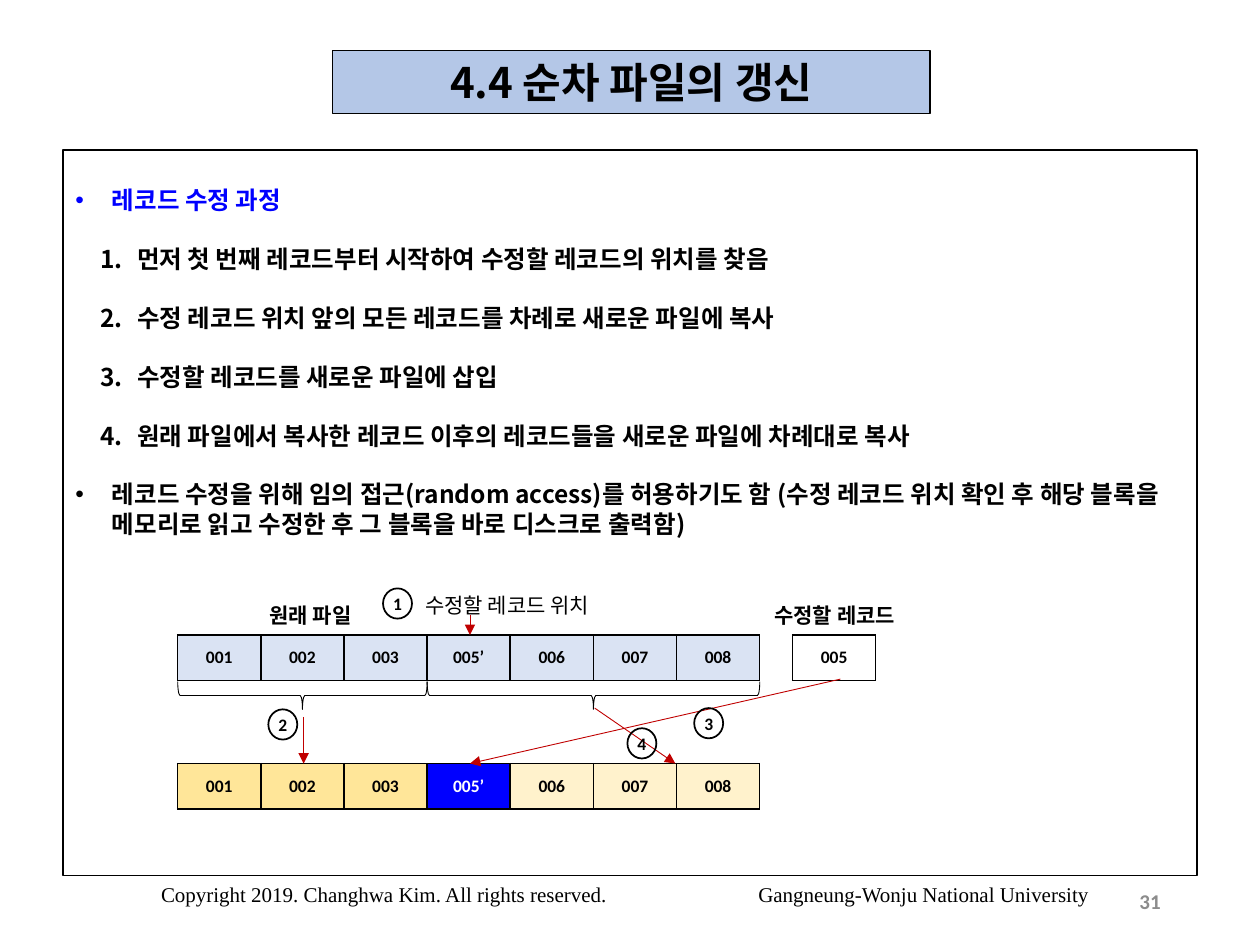
from typing import NamedTuple

from lxml.etree import SubElement
from pptx import Presentation
from pptx.dml.color import RGBColor
from pptx.enum.shapes import MSO_CONNECTOR, MSO_SHAPE
from pptx.enum.text import MSO_ANCHOR, MSO_AUTO_SIZE, PP_ALIGN
from pptx.oxml.ns import qn
from pptx.util import Inches, Pt

COLORS = {
    "black": "000000", "white": "FFFFFF", "blue": "0000FF", "gray": "8C8C8C",
    "arrow": "C00000", "title": "B4C7E7", "old": "DAE3F3",
    "copied": "FFE699", "rest": "FFF2CC",
}
KOREAN, LATIN, SERIF = "Noto Sans CJK KR", "Calibri", "Times New Roman"
CELL_WIDTH, CELL_HEIGHT = 0.66, 0.36
FILE_LEFT, OLD_TOP, NEW_TOP = 1.41, 5.04, 6.06
RECORDS = ["001", "002", "003", "005’", "006", "007", "008"]
LINE_PITCH = Pt(16.8)


class Item(NamedTuple):
    text: str
    numbered: bool = False
    color: str = "black"


class Label(NamedTuple):
    text: str
    left: float
    top: float
    width: float
    height: float = 0.3
    align: PP_ALIGN = PP_ALIGN.CENTER
    font: str = LATIN
    bold: bool = True
    color: str = "black"
    anchor: MSO_ANCHOR = MSO_ANCHOR.TOP


class Arrow(NamedTuple):
    start: tuple[float, float]
    end: tuple[float, float]


class Step(NamedTuple):
    number: int
    left: float
    top: float


ITEMS = [
    Item("레코드 수정 과정", color="blue"),
    Item("먼저 첫 번째 레코드부터 시작하여 수정할 레코드의 위치를 찾음", True),
    Item("수정 레코드 위치 앞의 모든 레코드를 차례로 새로운 파일에 복사", True),
    Item("수정할 레코드를 새로운 파일에 삽입", True),
    Item("원래 파일에서 복사한 레코드 이후의 레코드들을 새로운 파일에 차례대로 복사", True),
    Item("레코드 수정을 위해 임의 접근(random access)를 허용하기도 함 (수정 레코드 위치 확인 후 "
         "해당 블록을 메모리로 읽고 수정한 후 그 블록을 바로 디스크로 출력함)"),
]
LABELS = [
    Label("원래 파일", 1.47, 4.73, 1.99),
    Label("수정할 레코드", 5.63, 4.73, 1.99),
    Label("수정할 레코드 위치", 3.03, 4.65, 1.99, bold=False),
    Label("31", 7.06, 6.95, 2.25, 0.4, PP_ALIGN.RIGHT, color="gray", anchor=MSO_ANCHOR.MIDDLE),
]
FOOTER = Label("Copyright 2019. Changhwa Kim. All rights reserved.\tGangneung-Wonju National University",
               1.18, 6.95, 7.64, 0.4, PP_ALIGN.LEFT, SERIF, False)
ARROWS = [
    Arrow((3.73, 4.88), (3.73, OLD_TOP)),
    Arrow((2.41, 5.69), (2.41, NEW_TOP)),
    Arrow((6.67, 5.39), (3.73, NEW_TOP)),
    Arrow((4.72, 5.62), (5.36, NEW_TOP)),
]
STEPS = [Step(2, 2.13, 5.63), Step(1, 3.04, 4.67), Step(3, 5.51, 5.62), Step(4, 4.98, 5.78)]


def rgb(name: str) -> RGBColor:
    return RGBColor.from_string(COLORS[name])


def style(para, size: float, font: str, color: str = "black", bold: bool = True) -> None:
    para.font.size = Pt(size)
    para.font.name = font
    para.font.bold = bold
    para.font.color.rgb = rgb(color)


def clear_margins(frame) -> None:
    frame.margin_left = frame.margin_right = frame.margin_top = frame.margin_bottom = 0


def outline(shape, width: float) -> None:
    shape.line.color.rgb = rgb("black")
    shape.line.width = Pt(width)


def add_outlined(page, kind, left: float, top: float, width: float, height: float, line: float):
    shape = page.shapes.add_shape(kind, Inches(left), Inches(top), Inches(width), Inches(height))
    shape.shadow.inherit = False
    shape.fill.background()
    outline(shape, line)
    return shape


def add_title(page) -> None:
    title = page.shapes.title
    title.left, title.top, title.width, title.height = map(Inches, (2.64, 0.4, 4.74, 0.5))
    title.fill.solid()
    title.fill.fore_color.rgb = rgb("title")
    outline(title, 0.75)
    frame = title.text_frame
    frame.text = "4.4 순차 파일의 갱신"
    frame.word_wrap = False
    frame.auto_size = MSO_AUTO_SIZE.NONE
    frame.vertical_anchor = MSO_ANCHOR.MIDDLE
    para = frame.paragraphs[0]
    para.alignment = PP_ALIGN.CENTER
    style(para, 24, KOREAN)


def set_bullet(para, numbered: bool) -> None:
    properties = para._p.get_or_add_pPr()
    properties.set("marL", str(Inches(0.49 if numbered else 0.29)))
    properties.set("indent", str(Inches(-0.29)))
    if numbered:
        SubElement(properties, qn("a:buAutoNum"), type="arabicPeriod")
    else:
        SubElement(properties, qn("a:buFont"), typeface="Arial")
        SubElement(properties, qn("a:buChar"), char="•")


def add_body(page) -> None:
    box = add_outlined(page, MSO_SHAPE.RECTANGLE, 0.5, 1.19, 9, 5.76, 0.75)
    frame = box.text_frame
    frame.word_wrap = True
    frame.vertical_anchor = MSO_ANCHOR.TOP
    frame.margin_top = Inches(0.28)
    for index, item in enumerate(ITEMS):
        para = frame.add_paragraph() if index else frame.paragraphs[0]
        para.text = item.text
        para.alignment = PP_ALIGN.LEFT
        para.line_spacing = LINE_PITCH
        if index:
            para.space_before = LINE_PITCH
        set_bullet(para, item.numbered)
        style(para, 14, KOREAN, item.color)


def add_label(page, label: Label):
    box = page.shapes.add_textbox(*map(Inches, label[1:5]))
    frame = box.text_frame
    frame.word_wrap = True
    frame.vertical_anchor = label.anchor
    para = frame.paragraphs[0]
    para.text = label.text
    para.alignment = label.align
    style(para, 12, label.font, label.color, label.bold)
    return para


def add_footer(page) -> None:
    para = add_label(page, FOOTER)
    tabs = SubElement(para._p.get_or_add_pPr(), qn("a:tabLst"))
    SubElement(tabs, qn("a:tab"), pos=str(Inches(4.74)), algn="l")
    para._p.pPr.insert(0, tabs)


def set_borders(cell) -> None:
    properties = cell._tc.get_or_add_tcPr()
    for index, side in enumerate(("lnL", "lnR", "lnT", "lnB")):
        border = SubElement(properties, qn(f"a:{side}"), w=str(Pt(1)))
        fill = SubElement(border, qn("a:solidFill"))
        SubElement(fill, qn("a:srgbClr"), val=COLORS["black"])
        properties.insert(index, border)


def add_records(page, left: float, top: float, records: list[str], fills: list[str | None]) -> None:
    frame = page.shapes.add_table(1, len(records), Inches(left), Inches(top),
                                  Inches(CELL_WIDTH * len(records)), Inches(CELL_HEIGHT))
    table = frame.table
    table.first_row = table.horz_banding = False
    for cell, record, fill in zip(table.iter_cells(), records, fills):
        cell.text = record
        clear_margins(cell)
        cell.vertical_anchor = MSO_ANCHOR.MIDDLE
        if fill:
            cell.fill.solid()
            cell.fill.fore_color.rgb = rgb(fill)
        else:
            cell.fill.background()
        set_borders(cell)
        para = cell.text_frame.paragraphs[0]
        para.alignment = PP_ALIGN.CENTER
        style(para, 10, LATIN, "white" if fill == "blue" else "black")


def add_arrow(page, arrow: Arrow) -> None:
    line = page.shapes.add_connector(MSO_CONNECTOR.STRAIGHT, *map(Inches, arrow.start + arrow.end))
    line.line.color.rgb = rgb("arrow")
    line.line.width = Pt(0.5)
    SubElement(line.line._get_or_add_ln(), qn("a:tailEnd"), type="triangle")
    SubElement(line._element.spPr, qn("a:effectLst"))


def add_brace(page, first: int, count: int) -> None:
    """Draw a downward brace under count cells of the old file."""
    depth, span = 0.22, CELL_WIDTH * count
    center = FILE_LEFT + CELL_WIDTH * first + span / 2
    brace = add_outlined(page, MSO_SHAPE.RIGHT_BRACE, center - depth / 2, 5.52 - span / 2, depth, span, 0.5)
    brace.rotation = 90


def add_step(page, step: Step) -> None:
    circle = add_outlined(page, MSO_SHAPE.OVAL, step.left, step.top, 0.23, 0.24, 1)
    frame = circle.text_frame
    clear_margins(frame)
    frame.vertical_anchor = MSO_ANCHOR.MIDDLE
    para = frame.paragraphs[0]
    para.text = str(step.number)
    para.alignment = PP_ALIGN.CENTER
    style(para, 10, LATIN)


def main() -> None:
    deck = Presentation()
    deck.slide_width, deck.slide_height = Inches(10), Inches(7.5)
    page = deck.slides.add_slide(deck.slide_layouts[5])
    add_title(page)
    add_body(page)
    add_records(page, FILE_LEFT, OLD_TOP, RECORDS, ["old"] * 7)
    add_records(page, 6.29, OLD_TOP, ["005"], [None])
    add_records(page, FILE_LEFT, NEW_TOP, RECORDS, ["copied"] * 3 + ["blue"] + ["rest"] * 3)
    for label in LABELS:
        add_label(page, label)
    add_footer(page)
    for arrow in ARROWS:
        add_arrow(page, arrow)
    add_brace(page, 0, 3)
    add_brace(page, 3, 4)
    for step in STEPS:
        add_step(page, step)
    deck.save("out.pptx")


if __name__ == "__main__":
    main()
